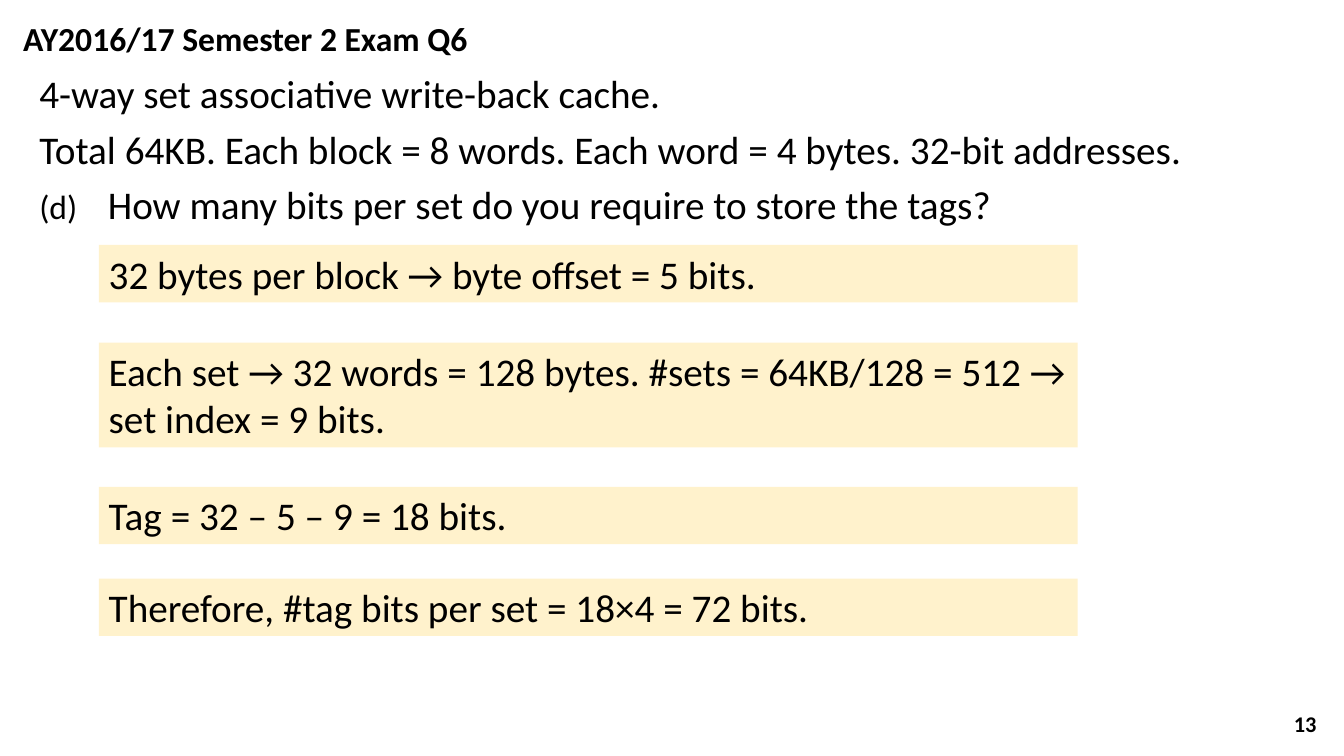
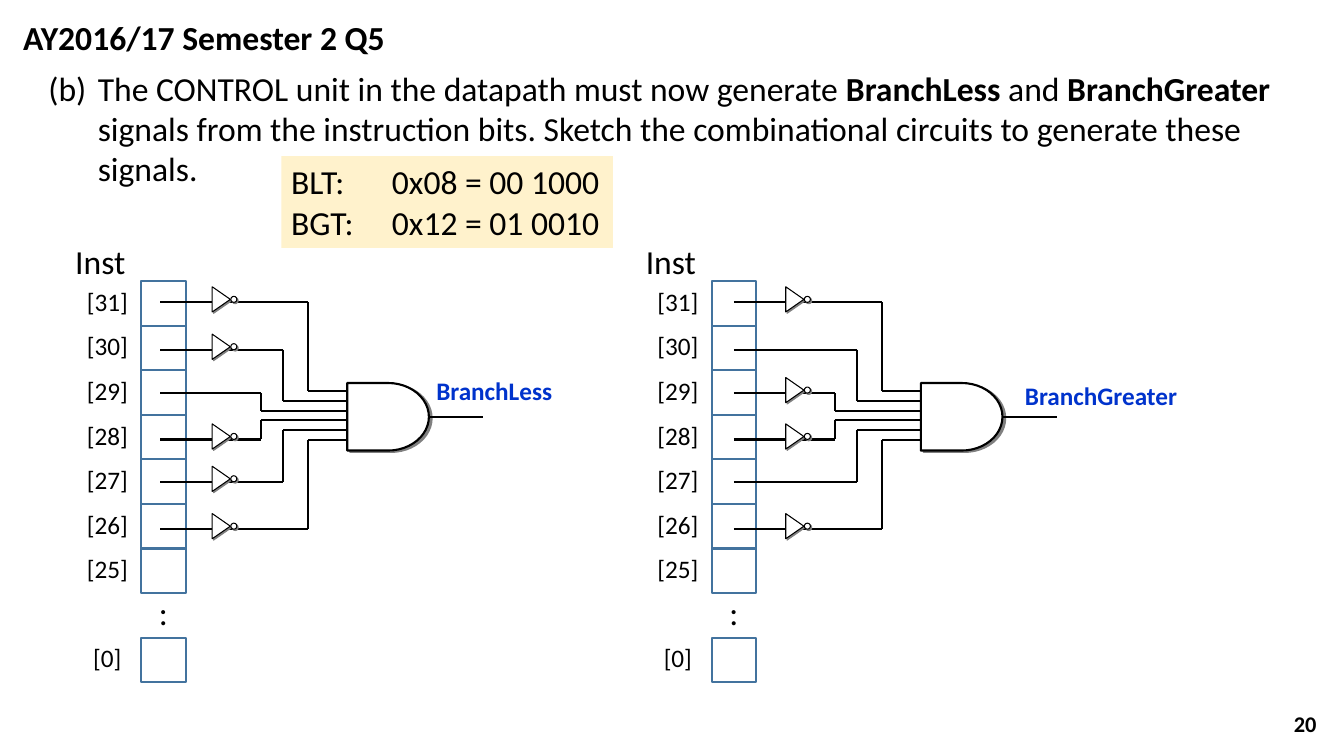
from dataclasses import dataclass

from lxml.etree import SubElement
from pptx import Presentation
from pptx.dml.color import RGBColor
from pptx.enum.shapes import MSO_CONNECTOR as Connector, MSO_SHAPE as Preset
from pptx.enum.text import MSO_ANCHOR as Anchor, MSO_AUTO_SIZE as AutoSize, PP_ALIGN as Align
from pptx.oxml.ns import qn
from pptx.util import Emu, Inches, Pt

CELL = Inches(0.1)  # one column or row of the grid
COLUMNS, ROWS = 133.33, 75


@dataclass(frozen=True)
class Theme:
    font: str = "Calibri"
    ink: str = "000000"
    paper: str = "FFFFFF"
    answer: str = "FFF2CC"
    register: str = "43739E"
    signal: str = "0033CC"
    shadow: str = "808080"
    large: int = 28
    medium: int = 24
    small: int = 18
    number: int = 16
    line: float = 1.5
    thin: float = 0.75


THEME = Theme()


def grid(*cells):
    return [Emu(round(cell * CELL)) for cell in cells]


def set_all(target, values):
    for name, value in values.items():
        setattr(target, name, value)


class Board:
    def __init__(self):
        self.deck = Presentation()
        self.deck.slide_width, self.deck.slide_height = grid(COLUMNS, ROWS)
        self.page = None

    def start(self, title, title_at, number):
        self.page = self.deck.slides.add_slide(self.deck.slide_layouts[1])
        self.place(self.page.shapes.title, title_at)
        self.set_text(self.page.shapes.title, [title], THEME.medium, bold=True)
        self.text((101.6, 69.8, 30, 4), number, THEME.number, align=Align.RIGHT,
                  anchor=Anchor.MIDDLE, bold=True)

    def place(self, shape, at):
        set_all(shape, dict(zip(("left", "top", "width", "height"), grid(*at))))

    def set_text(self, shape, paragraphs, size, color=THEME.ink, align=Align.LEFT,
                 anchor=Anchor.TOP, after=0, hang=0, tab=0, bold=False):
        """Fill a shape; a paragraph is a string or a list of (text, font values)."""
        frame = shape.text_frame
        set_all(frame, {"word_wrap": True, "auto_size": AutoSize.NONE,
                        "vertical_anchor": anchor})
        for index, runs in enumerate(paragraphs):
            para = frame.add_paragraph() if index else frame.paragraphs[0]
            set_all(para, {"alignment": align, "space_before": Pt(0),
                           "space_after": Pt(after)})
            self.indent(para, hang, tab or hang)
            for words, values in [(runs, {})] if isinstance(runs, str) else runs:
                span = para.add_run()
                span.text = words
                set_all(span.font, {"name": THEME.font, "size": Pt(size),
                                    "bold": bold, **values})
                span.font.color.rgb = RGBColor.from_string(color)

    def indent(self, para, hang, tab):
        """Remove the bullet, then set a hanging indent and one tab stop."""
        hang, tab = grid(hang, tab)
        properties = para._p.get_or_add_pPr()
        properties.set("marL", str(hang))
        properties.set("indent", str(-hang))
        SubElement(properties, qn("a:buNone"))
        if tab:
            stops = SubElement(properties, qn("a:tabLst"))
            SubElement(stops, qn("a:tab"), pos=str(tab), algn="l")

    def body(self, at, paragraphs, size, hang):
        body = self.page.placeholders[1]
        self.place(body, at)
        self.set_text(body, paragraphs, size, after=6, hang=hang)

    def text(self, at, words, size, **style):
        self.set_text(self.page.shapes.add_textbox(*grid(*at)), [words], size, **style)

    def shape(self, preset, at, fill=None, line=None, width=THEME.line, shadow=None):
        """Add a preset shape; shadow is (distance in points, angle in degrees)."""
        shape = self.page.shapes.add_shape(preset, *grid(*at))
        shape.shadow.inherit = False
        for paint, color in ((shape.fill, fill), (shape.line.fill, line)):
            if color:
                paint.solid()
                paint.fore_color.rgb = RGBColor.from_string(color)
            else:
                paint.background()
        if line:
            shape.line.width = Pt(width)
        if shadow:
            distance, angle = shadow
            effects = shape.element.spPr.find(qn("a:effectLst"))
            outer = SubElement(effects, qn("a:outerShdw"), dist=str(Pt(distance)),
                               dir=str(angle * 60000), algn="ctr", rotWithShape="0")
            SubElement(outer, qn("a:srgbClr"), val=THEME.shadow)
        return shape

    def answer(self, at, paragraphs, size, **style):
        box = self.shape(Preset.RECTANGLE, at, fill=THEME.answer)
        self.set_text(box, paragraphs, size, **style)

    def wire(self, *points):
        """Join the points one after the other with straight lines."""
        for start, end in zip(points, points[1:]):
            line = self.page.shapes.add_connector(Connector.STRAIGHT, *grid(*start, *end))
            line.line.width = Pt(THEME.line)
            line.line.color.rgb = RGBColor.from_string(THEME.ink)
            SubElement(line.element.spPr, qn("a:effectLst"))
        return line

    def register(self, left):
        top, side = 27.9, 4.42
        self.text((left - 8.6, top - 4.5, 9.1, 5), "Inst", THEME.medium, align=Align.CENTER)
        rows = [*enumerate(range(31, 24, -1)), (8, 0)]
        for row, bit in rows:
            y = top + row * side
            self.shape(Preset.RECTANGLE, (left, y, side, side), line=THEME.register)
            self.text((left - 7.2, y, 7.7, 4), f"[{bit}]", THEME.small, align=Align.CENTER)
        self.text((left, top + 8 * side - 5, side, 5), ":", THEME.medium, align=Align.CENTER)

    def inverter(self, left, y):
        style = {"fill": THEME.paper, "line": THEME.ink, "width": THEME.thin,
                 "shadow": (1.4, 45)}
        triangle = self.shape(Preset.FLOWCHART_MERGE, (left, y - 1.2, 2.5, 1.8), **style)
        triangle.rotation = 270
        self.shape(Preset.OVAL, (left + 2.2, y - 0.6, 0.6, 0.6), **style)

    def decoder(self, left, opcode, signal, signal_at):
        """Draw the AND gate for a six-bit opcode; each 0 bit is inverted."""
        gate_left, gate_top = left + 18.55, 38
        bit_rows = (30, 34.7, 39, 43.6, 47.8, 52.5)
        bends = (14.7, 12.2, 10, 10, 12.2, 14.7)
        for index, (bit, y, bend) in enumerate(zip(opcode, bit_rows, bends)):
            input_y = 38.8 + index * 0.97
            self.wire((left, y), (left + bend, y), (left + bend, input_y),
                      (gate_left, input_y))
            if bit == "0":
                self.inverter(left + 4.8, y)
        gate = self.shape(Preset.FLOWCHART_DELAY, (gate_left, gate_top, 8.1, 6.7),
                          fill=THEME.paper, line=THEME.ink, shadow=(2.2, 27))
        middle = gate_top + 6.7 / 2
        output = self.wire((gate_left + 8.1, middle), (gate_left + 13.5, middle))
        output.begin_connect(gate, 3)
        self.text(signal_at, signal, THEME.small, color=THEME.signal, bold=True)


def cache_slide(board):
    board.start("AY2016/17 Semester 2 Exam Q6", (1.3, 1.3, 56.1, 5), "13")
    question = [
        "4-way set associative write-back cache.",
        "Total 64KB. Each block = 8 words. Each word = 4 bytes. 32-bit addresses.",
        [("(d)\t", {"size": Pt(THEME.medium)}),
         ("How many bits per set do you require to store the tags?", {})],
    ]
    board.body((2.9, 6.4, 120.7, 16.8), question, THEME.large, hang=6.8)
    answers = [
        (24.3, 5.7, "32 bytes per block → byte offset = 5 bits."),
        (34, 10.4, "Each set → 32 words = 128 bytes. #sets = 64KB/128 = 512 → "
                   "set index = 9 bits."),
        (48.3, 5.7, "Tag = 32 – 5 – 9 = 18 bits."),
        (57.4, 5.7, "Therefore, #tag bits per set = 18×4 = 72 bits."),
    ]
    for top, height, words in answers:
        board.answer((9.8, top, 97.1, height), [words], THEME.large)


def branch_slide(board):
    board.start("AY2016/17 Semester 2 Q5", (1.3, 1.2, 40.8, 5), "20")
    strong = {"bold": True}
    question = [
        ("(b)\tThe CONTROL unit in the datapath must now generate ", {}),
        ("BranchLess", strong), (" and ", {}), ("BranchGreater", strong),
        (" signals from the instruction bits. Sketch the combinational circuits "
         "to generate these signals.", {}),
    ]
    board.body((3.8, 6.2, 126.3, 13.1), [question], THEME.medium, hang=4.9)
    board.answer((27.9, 15.5, 32.9, 9.1),
                 ["BLT:\t0x08 = 00 1000", "BGT:\t0x12 = 01 0010"], THEME.medium, tab=6.8)
    circuits = [
        (14, 15.9, "001000", "BranchLess", (42.3, 36.7, 14.6, 4)),
        (70.6, 72.8, "010010", "BranchGreater", (100.7, 37.2, 18.7, 4)),
    ]
    for register_left, wire_left, opcode, signal, signal_at in circuits:
        board.register(register_left)
        board.decoder(wire_left, opcode, signal, signal_at)


def main():
    board = Board()
    cache_slide(board)
    branch_slide(board)
    board.deck.save("out.pptx")


if __name__ == "__main__":
    main()
